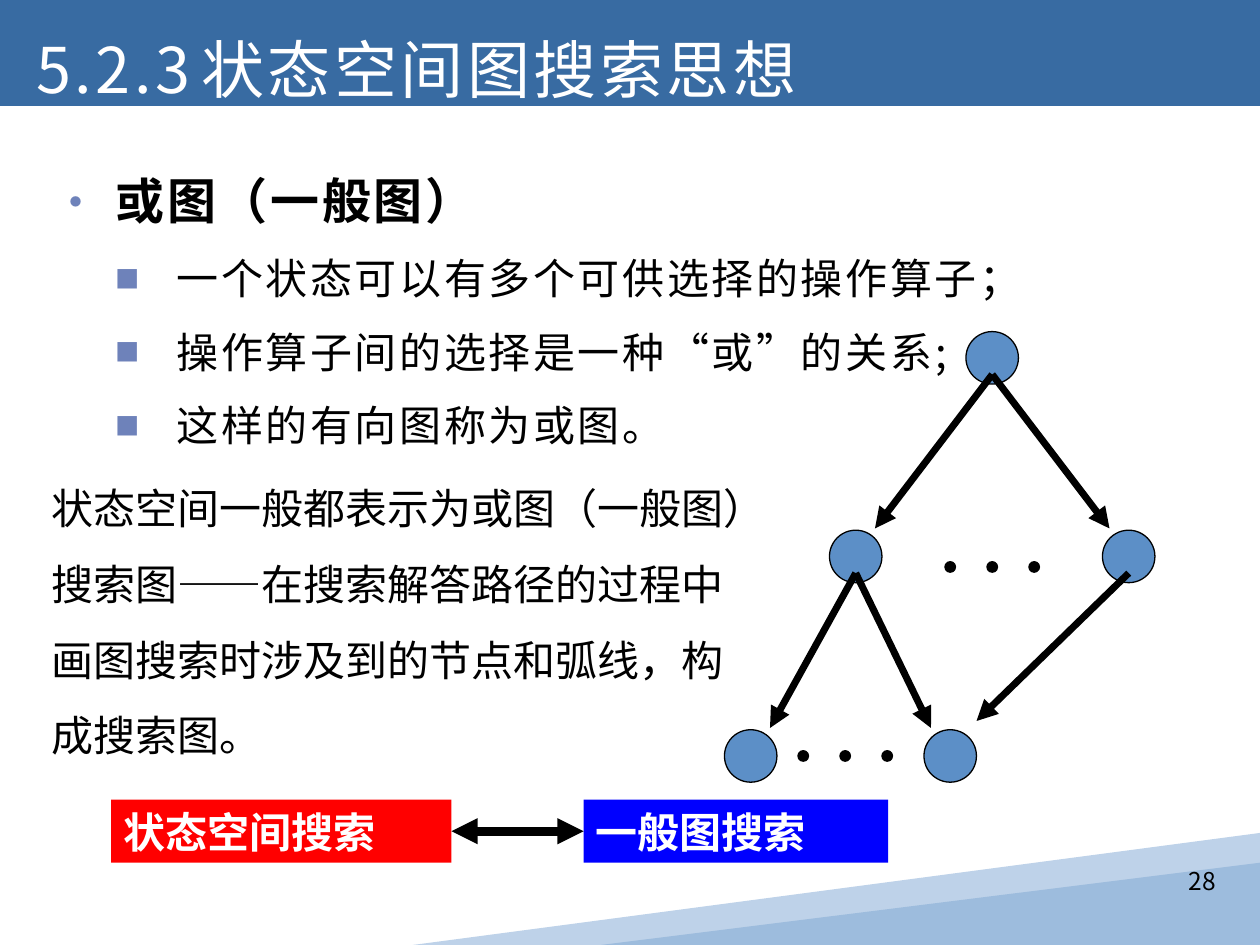
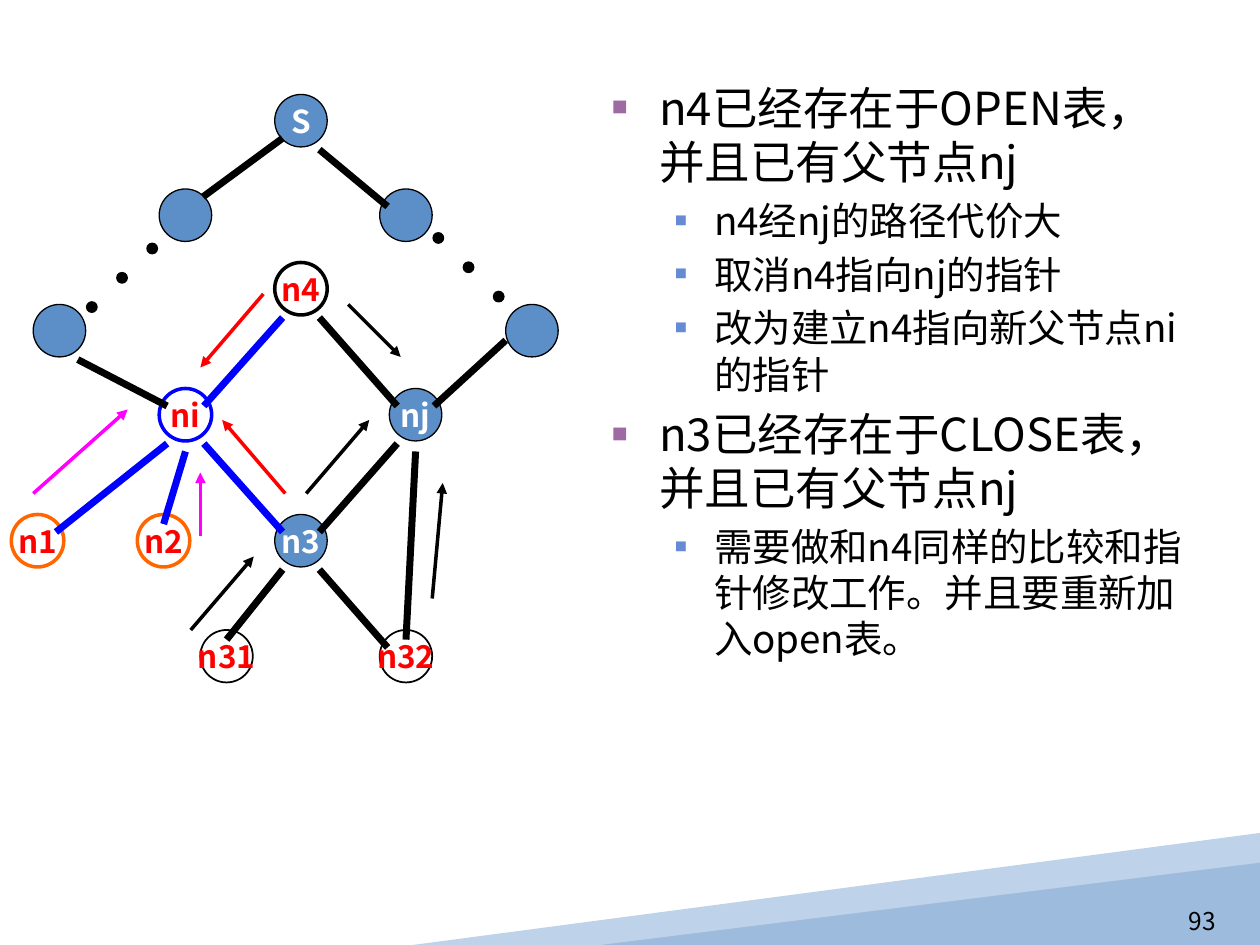
import pptx
import pptx.dml.color
import pptx.enum.shapes
import pptx.enum.text
import pptx.oxml.ns
import pptx.util
from lxml import etree

Pt = pptx.util.Pt
qn = pptx.oxml.ns.qn
SHAPE = pptx.enum.shapes.MSO_SHAPE
ALIGN = pptx.enum.text.PP_ALIGN
ANCHOR = pptx.enum.text.MSO_ANCHOR

FONT = "Noto Sans CJK SC"
WIDTH, HEIGHT = 720, 540
NODE, DOT = 30, 6
LINE_HEIGHT = 1.2
COLORS = {
    "title band": "386BA2", "pale band": "BED2E9", "deep band": "9DBCDD",
    "node": "5C8FC7", "black": "000000", "white": "FFFFFF",
    "red": "FF0000", "blue": "0000FF", "orange": "FF6600", "magenta": "FF00FF",
    "slate": "6E82BA", "plum": "9F69A3", "sky": "658BD5",
}


def rgb(name):
    return pptx.dml.color.RGBColor.from_string(COLORS[name])


def add_xml(parent, tag, **attrs):
    return etree.SubElement(parent, qn(tag), attrs)


class Deck:
    def __init__(self):
        self.prs = pptx.Presentation()
        self.prs.slide_width, self.prs.slide_height = Pt(WIDTH), Pt(HEIGHT)
        self.slide = None

    def new_slide(self, number, number_top):
        self.slide = self.prs.slides.add_slide(self.prs.slide_layouts[6])
        builder = self.slide.shapes.build_freeform(Pt(WIDTH), Pt(476), scale=1.0)
        corners = [(WIDTH, 535.7), (484.6, HEIGHT), (236, HEIGHT)]
        builder.add_line_segments([(Pt(x), Pt(y)) for x, y in corners], close=True)
        self.paint(builder.convert_to_shape(), "pale band")
        sp = self.shape(SHAPE.ISOSCELES_TRIANGLE, 343.5, 493, 376.5, 47, "deep band")
        sp.adjustments[0] = 1
        tf = self.box(546, number_top, 156, 28, ANCHOR.BOTTOM)
        self.paragraph(tf, str(number), 14, align=ALIGN.RIGHT)

    def paint(self, sp, fill=None, line=None, weight=0.75):
        sp.shadow.inherit = False
        if fill:
            sp.fill.solid()
            sp.fill.fore_color.rgb = rgb(fill)
        else:
            sp.fill.background()
        if line:
            sp.line.color.rgb = rgb(line)
            sp.line.width = Pt(weight)
        else:
            sp.line.fill.background()

    def shape(self, kind, x, y, w, h, fill=None, line=None, weight=0.75):
        sp = self.slide.shapes.add_shape(kind, Pt(x), Pt(y), Pt(w), Pt(h))
        self.paint(sp, fill, line, weight)
        return sp

    def box(self, x, y, w, h, anchor=ANCHOR.TOP):
        tf = self.slide.shapes.add_textbox(Pt(x), Pt(y), Pt(w), Pt(h)).text_frame
        tf.word_wrap = True
        tf.vertical_anchor = anchor
        return tf

    def paragraph(self, tf, text, size, color="black", bold=False, align=ALIGN.LEFT,
                  spacing=1, before=0, margin=0, indent=0, bullet=None, tab=None,
                  tracking=0):
        """Add a paragraph; bullet is (character, colour, size in percent)."""
        first = not tf.paragraphs[0].runs
        p = tf.paragraphs[0] if first else tf.add_paragraph()
        p.add_run().text = text
        p.alignment = align
        p.line_spacing = Pt(round(LINE_HEIGHT * spacing * size, 1))
        if not first:
            p.space_before = Pt(before)
        pPr = p._p.get_or_add_pPr()
        pPr.set("marL", str(Pt(margin)))
        pPr.set("indent", str(Pt(indent)))
        if bullet:
            char, bullet_color, percent = bullet
            add_xml(add_xml(pPr, "a:buClr"), "a:srgbClr", val=COLORS[bullet_color])
            add_xml(pPr, "a:buSzPct", val=str(percent * 1000))
            add_xml(pPr, "a:buFont", typeface=FONT)
            add_xml(pPr, "a:buChar", char=char)
        if tab:
            add_xml(add_xml(pPr, "a:tabLst"), "a:tab", pos=str(Pt(tab)), algn="l")
        p.font.size, p.font.bold, p.font.name = Pt(size), bold, FONT
        p.font.color.rgb = rgb(color)
        defaults = pPr.find(qn("a:defRPr"))
        add_xml(defaults, "a:ea", typeface=FONT)
        if tracking:
            defaults.set("spc", str(int(tracking * 100)))

    def title(self, text):
        tf = self.shape(SHAPE.RECTANGLE, 0, 0, WIDTH, 60.5, "title band").text_frame
        tf.vertical_anchor = ANCHOR.BOTTOM
        tf.margin_bottom = 0
        self.paragraph(tf, text, 36, "white", indent=13.7, tab=133, tracking=2)

    def label(self, text, x, w, fill):
        tf = self.shape(SHAPE.RECTANGLE, x, 457, w, 36, fill).text_frame
        tf.vertical_anchor = ANCHOR.MIDDLE
        self.paragraph(tf, text, 24, "white", bold=True)

    def circle(self, center, size, fill, line="black", weight=0.75):
        x, y = center
        return self.shape(SHAPE.OVAL, x - size / 2, y - size / 2, size, size,
                          fill, line, weight)

    def node(self, center, text="", ring=None, weight=2):
        """A filled node, or a hollow one when a ring colour is given."""
        if ring:
            sp = self.circle(center, NODE, None, ring, weight)
        else:
            sp = self.circle(center, NODE, "node")
        if text:
            tf = sp.text_frame
            tf.word_wrap = False
            tf.vertical_anchor = ANCHOR.MIDDLE
            self.paragraph(tf, text, 18, "red" if ring else "white", bold=True,
                           align=ALIGN.CENTER)

    def dots(self, start, step):
        for i in range(3):
            self.circle((start[0] + i * step[0], start[1] + i * step[1]), DOT, "black")

    def line(self, start, end, color="black", weight=4, ends=()):
        """Straight line; ends names the arrowheads: headEnd, tailEnd."""
        cx = self.slide.shapes.add_connector(
            pptx.enum.shapes.MSO_CONNECTOR.STRAIGHT,
            *(Pt(v) for v in (*start, *end)))
        cx.line.color.rgb = rgb(color)
        cx.line.width = Pt(weight)
        spPr = cx._element.spPr
        for end_tag in ends:
            add_xml(spPr.find(qn("a:ln")), "a:" + end_tag, type="triangle")
        add_xml(spPr, "a:effectLst")


def or_graph_slide(deck):
    deck.new_slide(28, 487.5)
    tf = deck.box(22.5, 87, 612, 324)
    deck.paragraph(tf, "或图（一般图）", 28, bold=True, spacing=1.2, margin=36.7,
                   indent=-36.7, bullet=("•", "slate", 100), tracking=1.5)
    for text in ("一个状态可以有多个可供选择的操作算子；",
                 "操作算子间的选择是一种“或”的关系;",
                 "这样的有向图称为或图。"):
        deck.paragraph(tf, text, 24, spacing=1.3, before=4.8, margin=71.3,
                       indent=-34.6, bullet=("■", "slate", 58), tracking=1.5)

    root, left, right = (567, 204.5), (489, 318), (645, 318)
    for center in (root, left, right, (429, 432), (543, 432)):
        deck.node(center)
    for start in ((543, 324), (459, 432)):
        deck.dots(start, (24, 0))
    for (x, y), tip in ((root, (500, 302)), (root, (634, 302)), (left, (440, 416)),
                        (left, (532, 416)), (right, (558, 412))):
        deck.line((x, y + 9.5), tip, ends=["tailEnd"])

    deck.title("5.2.3\t状态空间图搜索思想")
    tf = deck.box(22.5, 258, 686, 182)
    for text in ("状态空间一般都表示为或图（一般图）", "搜索图——在搜索解答路径的过程中",
                 "画图搜索时涉及到的节点和弧线，构", "成搜索图。"):
        deck.paragraph(tf, text, 24, spacing=1.5)
    deck.label("状态空间搜索", 63.5, 194.5, "red")
    deck.label("一般图搜索", 333.5, 174, "blue")
    deck.line((258, 475), (333.5, 475), weight=5, ends=["headEnd", "tailEnd"])


def pointer_slide(deck):
    deck.new_slide(93, 510)
    centers = {
        "S": (172, 69), "left": (106, 123), "right": (232, 123),
        "far left": (34, 189), "far right": (304, 189), "n4": (172, 165),
        "ni": (106, 237), "nj": (237.5, 237), "n1": (21.5, 309),
        "n2": (93.5, 309), "n3": (172, 309), "n31": (129.5, 375), "n32": (232, 375),
    }
    rings = {"n4": ("black", 2), "ni": ("blue", 2), "n1": ("orange", 2),
             "n2": ("orange", 2), "n31": ("black", 1), "n32": ("black", 1)}
    unlabelled = ("left", "right", "far left", "far right")
    for name, center in centers.items():
        deck.node(center, "" if name in unlabelled else name, *rings.get(name, ()))
    deck.dots((52.5, 175.5), (17.25, -16.75))
    deck.dots((250.5, 136), (17.25, 16.75))

    # Side -1, 0 or 1: where an edge leaves the parent and meets the child.
    edges = [
        ("S", "right", 1, -1, "black"), ("far left", "ni", 1, -1, "black"),
        ("n4", "ni", -1, 1, "blue"), ("n4", "nj", 1, -1, "black"),
        ("ni", "n1", -1, 1, "blue"), ("ni", "n2", 0, 0, "blue"),
        ("ni", "n3", 1, -1, "blue"), ("nj", "n3", -1, 1, "black"),
        ("n3", "n31", -1, 0, "black"), ("n3", "n32", 1, -1, "black"),
        ("nj", "n32", 0, 0, "black"),
    ]
    for parent, child, out, into, color in edges:
        (px, py), (cx, cy) = centers[parent], centers[child]
        deck.line((px + 10.5 * out, py + 21 - 4.5 * abs(out)),
                  (cx + 10.5 * into, cy - 9.5 + 4.5 * abs(into)), color)
    deck.line((161.5, 79), (116, 112.5))
    deck.line((289, 194.5), (248, 232))

    tf = deck.box(342.5, 42, 348, 336)
    points = [
        ("n4已经存在于OPEN表，并且已有父节点nj",
         ["n4经nj的路径代价大", "取消n4指向nj的指针", "改为建立n4指向新父节点ni的指针"]),
        ("n3已经存在于CLOSE表，并且已有父节点nj",
         ["需要做和n4同样的比较和指针修改工作。并且要重新加入open表。"]),
    ]
    for heading, details in points:
        deck.paragraph(tf, heading, 26, before=5.2, margin=27, indent=-27,
                       bullet=("■", "plum", 35))
        for text in details:
            deck.paragraph(tf, text, 22, before=4.4, margin=58.5, indent=-22.5,
                           bullet=("■", "sky", 32))

    for start, tip, color in (
            ((19, 282), (73, 234), "magenta"), ((114.5, 306), (114.5, 270), "magenta"),
            ((199, 174), (229, 204), "black"), ((150.5, 168), (114.5, 210), "red"),
            ((175, 282), (211, 240), "black"), ((109, 360), (145, 318), "black"),
            ((247, 342), (253, 276), "black"), ((163, 282), (127, 240), "red")):
        deck.line(start, tip, color, 2, ["tailEnd"])


def main():
    deck = Deck()
    or_graph_slide(deck)
    pointer_slide(deck)
    deck.prs.save("out.pptx")


if __name__ == "__main__":
    main()
